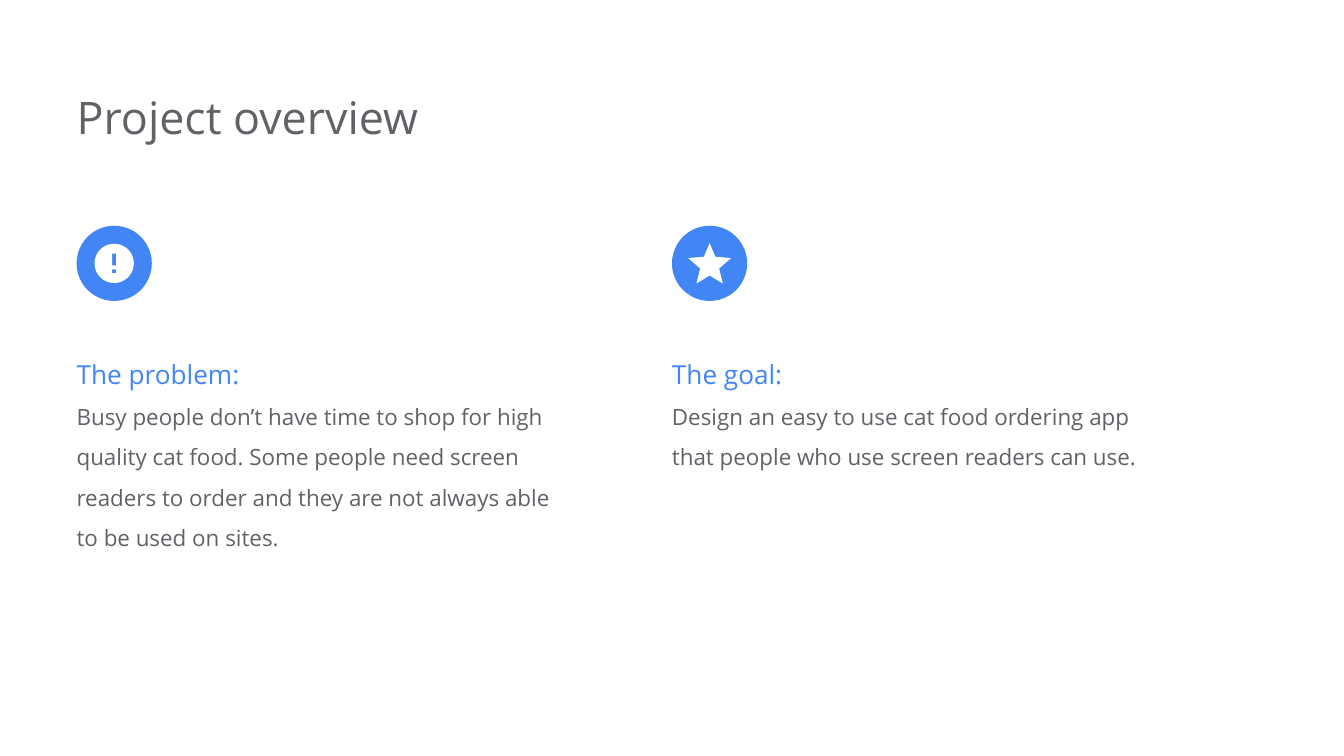
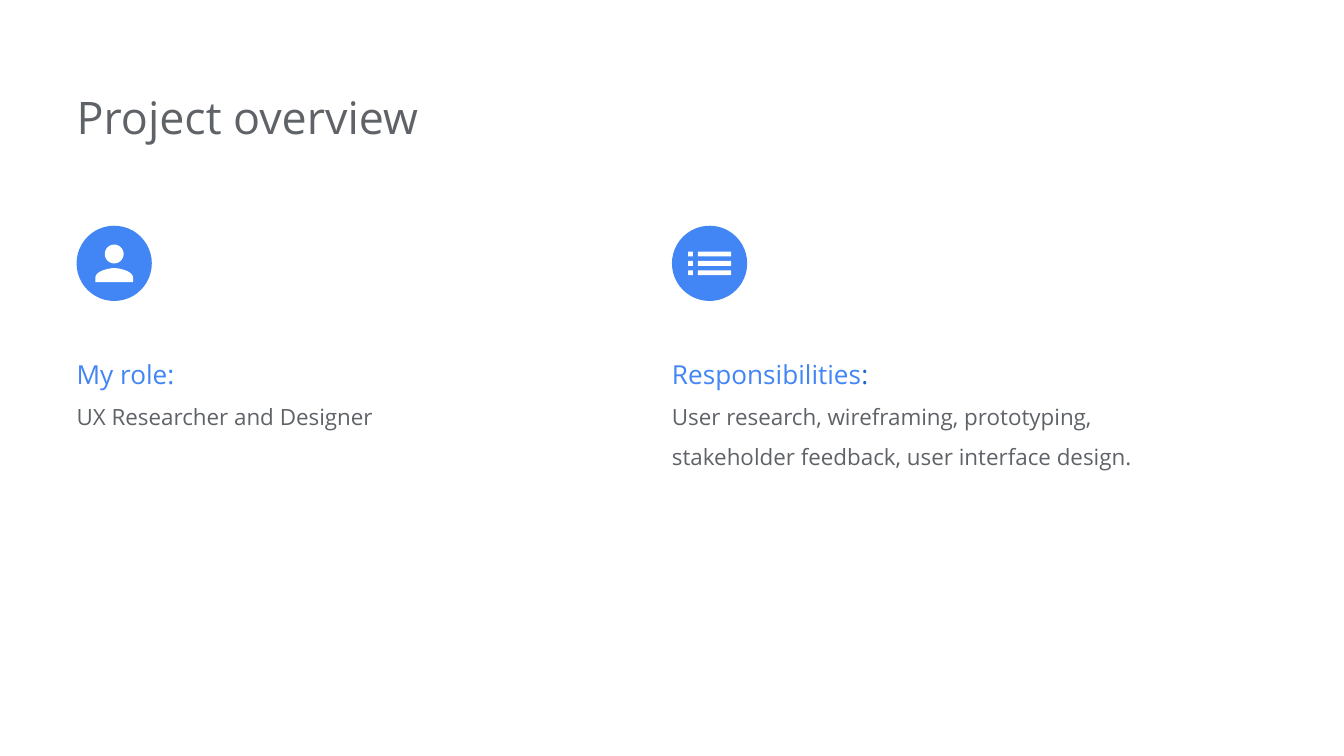
"""Build two project overview slides, each with two icon columns."""
import math

import pptx
import pptx.dml.color
import pptx.enum.shapes
import pptx.enum.text
import pptx.util

BLUE = pptx.dml.color.RGBColor(0x42, 0x85, 0xF4)
DEEP = pptx.dml.color.RGBColor(0x19, 0x67, 0xD2)
GREY = pptx.dml.color.RGBColor(0x5F, 0x63, 0x68)
WHITE = pptx.dml.color.RGBColor(0xFF, 0xFF, 0xFF)
FONT = "Open Sans"
COLS = 100
LEFT, RIGHT = 5.7, 50
DISC = 5.6


def box(left, top, right, base):
    return [(left, top), (left, base), (right, base), (right, top)]


def ring(x, y, size, count=60):
    turns = [2 * math.pi * i / count for i in range(count)]
    return [(x + size * math.cos(t), y + size * math.sin(t)) for t in turns]


def curve(a, b, c, d, count=12):
    points = []
    for i in range(count + 1):
        t = i / count
        parts = ((1 - t) ** 3, 3 * t * (1 - t) ** 2, 3 * t * t * (1 - t), t ** 3)
        points.append(tuple(sum(k * p[n] for k, p in zip(parts, (a, b, c, d)))
                            for n in (0, 1)))
    return points


def mirror(half):
    return half + [(-x, y) for x, y in reversed(half)]


ALERT = [ring(0, 0, 1.46), box(-0.15, -0.73, 0.15, 0.15), box(-0.15, 0.44, 0.15, 0.73)]
STAR = [mirror([(0, -1.5), (0.43, -0.49), (1.6, -0.39), (0.71, 0.38), (0.98, 1.5), (0, 0.91)])]
PERSON = [ring(0, -0.7, 0.7),
          mirror(curve((0, 0.35), (0.47, 0.35), (1.4, 0.6), (1.4, 1.05)) + [(1.4, 1.4)])]
LIST = [box(left, y - 0.18, right, y + 0.18)
        for left, right in ((-1.6, -1.24), (-0.88, 1.6)) for y in (-0.7, 0, 0.7)]


class Deck:
    def __init__(self):
        self.file = pptx.Presentation()
        self.file.slide_width = pptx.util.Inches(10)
        self.file.slide_height = self.file.slide_width * 9 // 16
        self.slide = None

    def grid(self, *cells):
        return [round(cell * self.file.slide_width / COLS) for cell in cells]

    def frame(self, shape):
        text = shape.text_frame
        text.word_wrap = True
        text.vertical_anchor = pptx.enum.text.MSO_ANCHOR.TOP
        text.auto_size = pptx.enum.text.MSO_AUTO_SIZE.SHAPE_TO_FIT_TEXT
        text.margin_left = 0
        text.margin_right, text.margin_top, text.margin_bottom = self.grid(1, 1, 1)
        return text

    def letter(self, para, runs, size, space):
        para.alignment = pptx.enum.text.PP_ALIGN.LEFT
        para.line_spacing = space
        for words, tint in runs:
            run = para.add_run()
            run.text = words
            run.font.name = FONT
            run.font.size = pptx.util.Pt(size)
            run.font.color.rgb = tint

    def page(self, title):
        self.slide = self.file.slides.add_slide(self.file.slide_layouts[5])
        shape = self.slide.shapes.title
        shape.left, shape.top, shape.width, shape.height = self.grid(LEFT, 5.7, 67.3, 6.1)
        self.letter(self.frame(shape).paragraphs[0], [(title, GREY)], 24, 1.0)

    def paint(self, shape, tint):
        shape.shadow.inherit = False
        shape.fill.solid()
        shape.fill.fore_color.rgb = tint
        shape.line.fill.background()

    def icon(self, left, loops):
        top = 16.8
        oval = pptx.enum.shapes.MSO_SHAPE.OVAL
        disc = self.slide.shapes.add_shape(oval, *self.grid(left, top, DISC, DISC))
        self.paint(disc, BLUE)
        lines = [[self.grid(left + DISC / 2 + x, top + DISC / 2 + y) for x, y in loop]
                 for loop in loops]
        pen = self.slide.shapes.build_freeform(*lines[0][0], scale=1.0)
        for i, line in enumerate(lines):
            if i:
                pen.move_to(*line[0])
            pen.add_line_segments(line[1:], close=True)
        self.paint(pen.convert_to_shape(), WHITE)

    def note(self, left, head, body, lines):
        shape = self.slide.shapes.add_textbox(
            *self.grid(left, 24.5, 37.7, 4.6 + 3 * lines))
        text = self.frame(shape)
        self.letter(text.paragraphs[0], head, 14, 1.5)
        self.letter(text.add_paragraph(), [(body, GREY)], 12, 1.5)


def main():
    deck = Deck()
    pages = [
        [(ALERT, [("The problem:", BLUE)],
          "Busy people don’t have time to shop for high quality cat food. Some people need "
          "screen readers to order and they are not always able to be used on sites.", 4),
         (STAR, [("The goal:", BLUE)],
          "Design an easy to use cat food ordering app that people who use screen readers "
          "can use.", 2)],
        [(PERSON, [("My role:", BLUE)], "UX Researcher and Designer", 1),
         (LIST, [("Responsibilities", BLUE), (":", DEEP)],
          "User research, wireframing, prototyping, stakeholder feedback, user interface "
          "design.", 2)],
    ]
    for page in pages:
        deck.page("Project overview")
        for left, (loops, head, body, lines) in zip((LEFT, RIGHT), page):
            deck.icon(left, loops)
            deck.note(left, head, body, lines)
    deck.file.save("out.pptx")


if __name__ == "__main__":
    main()
